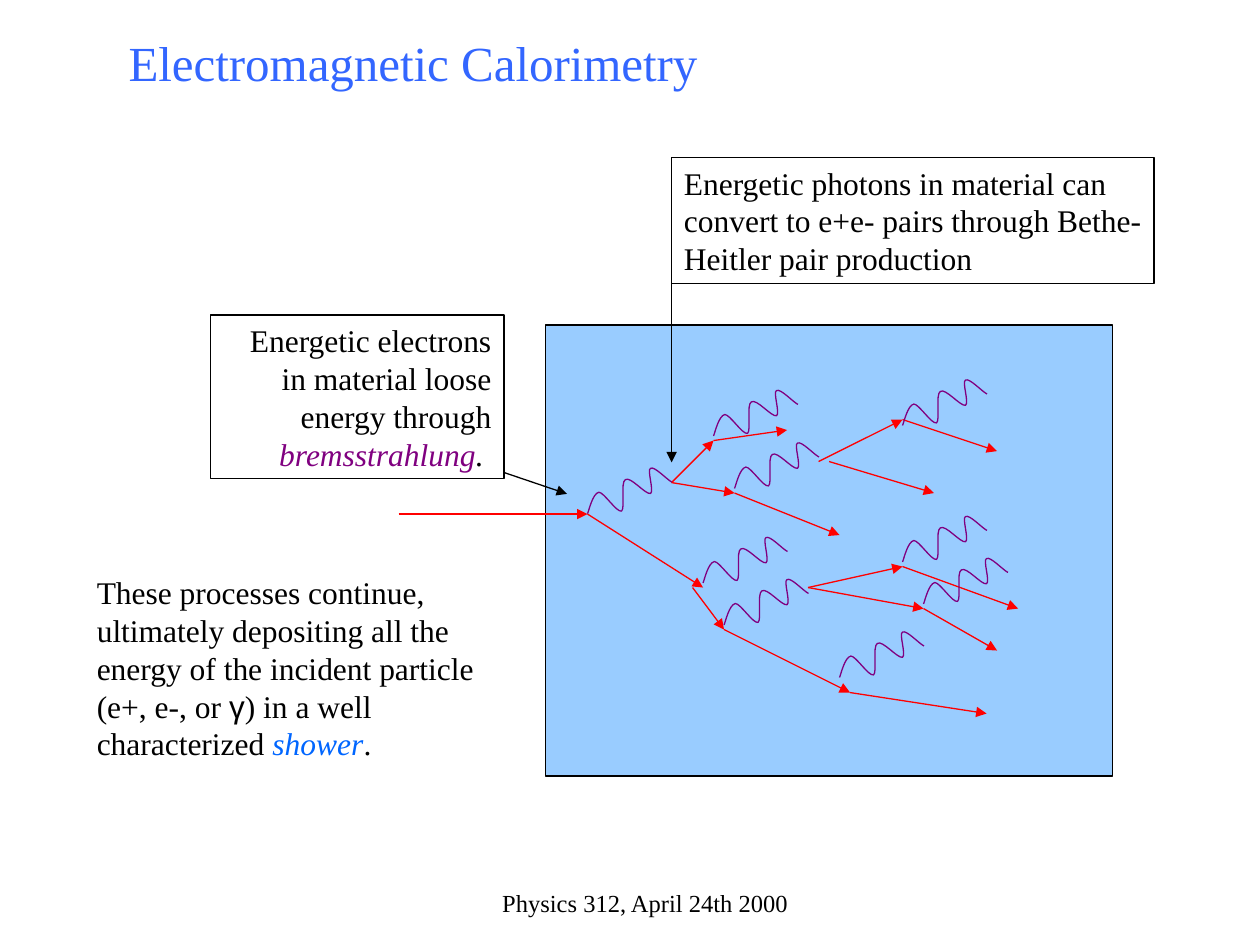
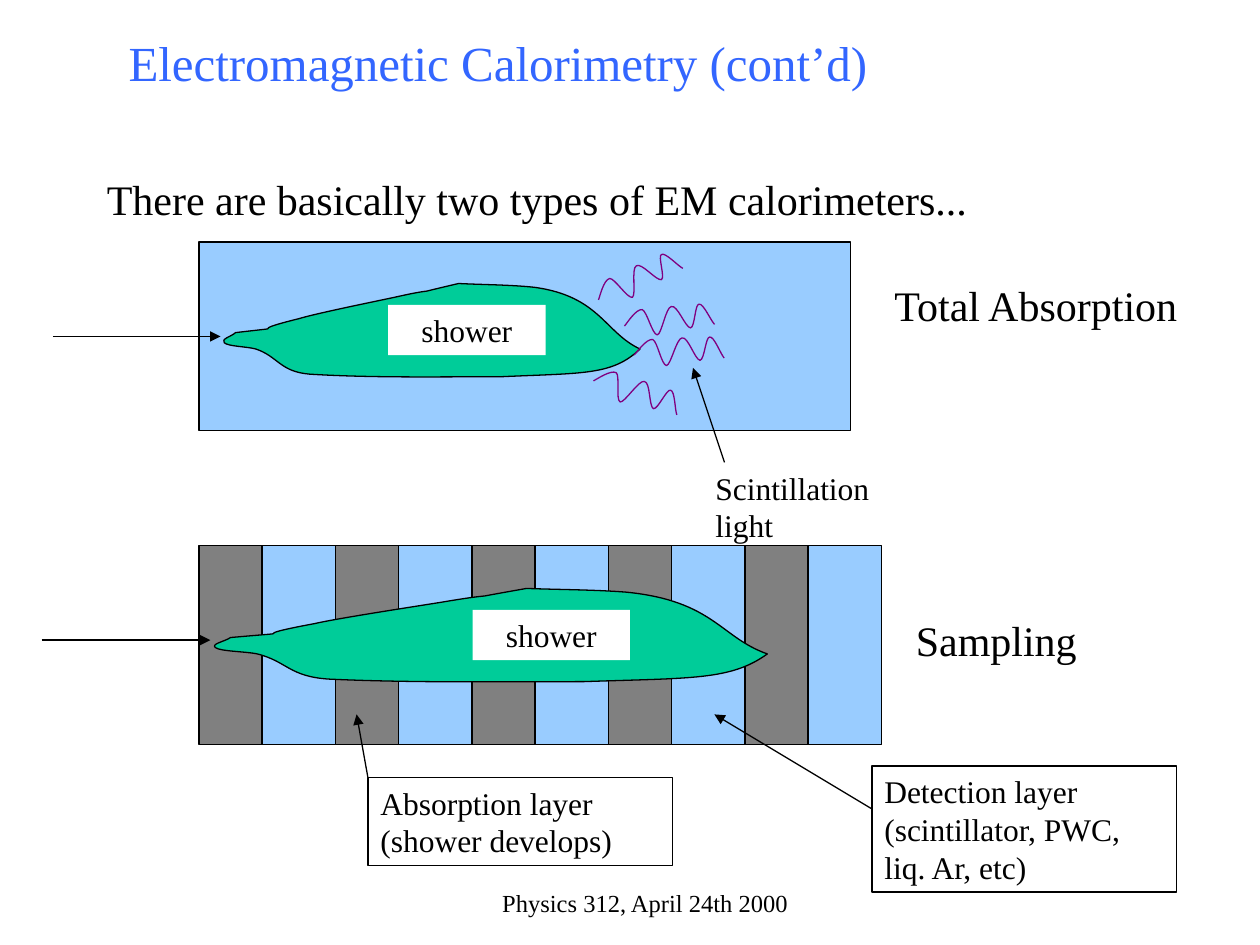
from itertools import cycle, islice

from lxml.etree import SubElement
from pptx import Presentation
from pptx.dml.color import RGBColor
from pptx.enum.shapes import MSO_CONNECTOR as Connector, MSO_SHAPE as Preset
from pptx.enum.text import MSO_ANCHOR as Anchor, MSO_AUTO_SIZE as AutoSize, PP_ALIGN as Align
from pptx.oxml.ns import qn
from pptx.util import Inches, Pt

COLOURS = {
    "title": "3366FF", "text": "000000", "outline": "000000", "paper": "FFFFFF",
    "detector": "99CCFF", "absorber": "808080", "shower": "00CC99",
    "electron": "FF0000", "photon": "800080", "keyword": "0066FF",
}
FONT = "Times New Roman"
LINE_WIDTH = Pt(0.75)
TWELFTH = 1 / 12

WAVE = [
    (0, .38), (.01, .36), (.04, .22), (.09, .21), (.13, .21), (.23, .37), (.27, .36),
    (.3, .34), (.26, .13), (.3, .11), (.34, .08), (.46, .23), (.5, .22),
    (.53, .2), (.47, .03), (.5, .02), (.53, 0), (.63, .11), (.67, .13),
]
SHOWER_WIDTH = 3.33
SHOWER = [
    (.12, .39), (.63, .33), (.13, .4), (.62, .28), (.75, .24), (1.19, .15), (1.38, .11),
    (1.47, .09), (1.56, .07), (1.64, .06), (1.72, .04), (1.89, 0), (1.89, 0),
    (2.09, .01), (2.3, .01), (2.49, .03), (3.01, .1), (3.05, .39), (3.33, .52),
    (3.11, .73), (2.88, .71), (2.23, .74), (1.72, .74), (1.21, .75), (.71, .72),
    (.47, .7), (.46, .58), (.28, .52), (.21, .5), (.06, .5), (.03, .47),
    (0, .44), (.09, .42), (.12, .39),
]
ELECTRON_TRACKS = [
    (-14, 18, 4, 18), (4, 18, 15, 25), (12, 15, 16, 11), (12, 15, 18, 16),
    (18, 16, 28, 20), (14, 25, 17, 29), (17, 29, 29, 35), (29, 35, 42, 37),
    (26, 13, 34, 9), (27, 13, 37, 16), (16, 11, 23, 10), (25, 25, 34, 23),
    (25, 25, 36, 27), (34, 9, 43, 12), (36, 27, 43, 31), (34, 23, 45, 27),
]
PHOTON_WAVES = [
    (4, 13.4), (18, 11), (17, 24), (28, 29), (15, 20),
    (34, 5), (34, 18), (36, 22), (16, 6),
]


def colour(name):
    """Return the named colour."""
    return RGBColor.from_string(COLOURS[name])


def set_format(target, values):
    """Set each attribute of the target from a dict."""
    for name, value in values.items():
        setattr(target, name, value)


def paint(shape, fill=None, line=None):
    """Give a shape its fill and outline, without a shadow."""
    shape.shadow.inherit = False
    if fill:
        shape.fill.solid()
        shape.fill.fore_color.rgb = colour(fill)
    else:
        shape.fill.background()
    if line:
        shape.line.color.rgb = colour(line)
        shape.line.width = LINE_WIDTH
    else:
        shape.line.fill.background()


def write(shape, runs, size=18, align=Align.LEFT, anchor=Anchor.TOP, left_inset=0.1):
    """Write one paragraph of (text, format) runs into a shape."""
    frame = shape.text_frame
    set_format(frame, {
        "word_wrap": True, "auto_size": AutoSize.NONE, "vertical_anchor": anchor,
        "margin_left": Inches(left_inset), "margin_right": Inches(0.1),
        "margin_top": Inches(0.05), "margin_bottom": Inches(0.05),
    })
    paragraph = frame.paragraphs[0]
    paragraph.alignment = align
    for text, changes in runs:
        run = paragraph.add_run()
        run.text = text
        values = {"name": FONT, "size": Pt(size), **changes}
        run.font.color.rgb = colour(values.pop("colour", "text"))
        set_format(run.font, values)


def add_box(slide, box, fill=None, line="outline"):
    """Add a rectangle in the given box."""
    shape = slide.shapes.add_shape(Preset.RECTANGLE, *map(Inches, box))
    paint(shape, fill, line)
    return shape


def add_label(slide, box, text, **options):
    """Add plain text in the given box."""
    write(slide.shapes.add_textbox(*map(Inches, box)), [(text, {})], **options)


def add_arrow(slide, ends, line="outline"):
    """Add a straight arrow from the first point to the second."""
    arrow = slide.shapes.add_connector(Connector.STRAIGHT, *map(Inches, ends))
    arrow.line.color.rgb = colour(line)
    arrow.line.width = LINE_WIDTH
    properties = arrow._element.spPr
    SubElement(properties.find(qn("a:ln")), qn("a:tailEnd"), type="triangle")
    SubElement(properties, qn("a:effectLst"))


def add_curve(slide, left, top, points, stretch=1, close=False):
    """Add a freeform of cubic curves, with its corner at left, top."""
    places = [(Inches(left + x * stretch), Inches(top + y)) for x, y in points]
    builder = slide.shapes.build_freeform(*places[0])
    builder.add_line_segments(places[1:], close=close)
    shape = builder.convert_to_shape()
    segments = list(shape._element.iter(qn("a:lnTo")))
    for first, second, third in zip(*[iter(segments)] * 3):
        outline = first.getparent()
        curve = SubElement(outline, qn("a:cubicBezTo"))
        first.addprevious(curve)
        for segment in (first, second, third):
            curve.append(segment[0])
            outline.remove(segment)
    return shape


def add_photon(slide, left, top, rotation=0):
    """Add a wavy photon line."""
    wave = add_curve(slide, left, top, WAVE)
    paint(wave, line="photon")
    wave.rotation = rotation


def add_shower(slide, left, top, width, label_left):
    """Add a labelled particle shower of the given width."""
    shower = add_curve(slide, left, top, SHOWER, width / SHOWER_WIDTH, close=True)
    paint(shower, "shower", "outline")
    label = add_box(slide, (label_left, top + 0.17, 1.25, 0.4), "paper", None)
    write(label, [("shower", {})], align=Align.CENTER)


def add_slide(presentation, title):
    """Add a slide with the shared title."""
    slide = presentation.slides.add_slide(presentation.slide_layouts[5])
    placeholder = slide.shapes.title
    set_format(placeholder, {
        "left": Inches(0.92), "top": Inches(0.16),
        "width": Inches(8.92), "height": Inches(0.67),
    })
    write(placeholder, [(title, {"colour": "title"})], size=28, anchor=Anchor.MIDDLE)
    return slide


def add_footer(slide):
    """Add the shared footer."""
    add_label(slide, (3.42, 7, 3.17, 0.33), "Physics 312, April 24th 2000",
              size=14, align=Align.CENTER, left_inset=0.33)


def add_cascade(slide, box):
    """Draw the detector block with its electron tracks and photons."""
    left, top = box[:2]
    add_box(slide, box, "detector")
    for x1, y1, x2, y2 in ELECTRON_TRACKS:
        add_arrow(slide, (left + x1 * TWELFTH, top + y1 * TWELFTH,
                          left + x2 * TWELFTH, top + y2 * TWELFTH), "electron")
    for x, y in PHOTON_WAVES:
        add_photon(slide, left + x * TWELFTH, top + y * TWELFTH)


def add_total_absorption(slide, box):
    """Draw the solid calorimeter with its shower and scintillation light."""
    left, top, width, height = box
    add_box(slide, box, "detector")
    add_shower(slide, left + 0.17, top + 0.33, SHOWER_WIDTH, left + 1.5)
    for x, y, rotation in ((3.17, 0.08, 0), (3.42, 0.41, 19.4),
                           (3.5, 0.66, 22.4), (3.17, 1, 42.7)):
        add_photon(slide, left + x, top + y, rotation)
    add_arrow(slide, (left - 1.16, top + 0.75, left + 0.17, top + 0.75))
    add_label(slide, (left + 4, top + 1.75, 1.5, 0.7), "Scintillation light")
    add_arrow(slide, (left + 4.17, top + 1.75, left + 3.92, top + 1))
    add_label(slide, (left + width + 0.25, top + 0.25, 2.58, 0.5), "Total Absorption", size=24)


def add_sampling(slide, box):
    """Draw the layered calorimeter with its shower and callouts."""
    left, top, width, height = box
    layer_left = left
    for fill, twelfths in islice(cycle((("absorber", 6), ("detector", 7))), 10):
        layer_width = twelfths * TWELFTH
        add_box(slide, (layer_left, top, layer_width, height), fill)
        layer_left += layer_width
    add_shower(slide, left + 0.09, top + 0.34, 4.42, left + 2.17)
    add_arrow(slide, (left - 1.25, top + 0.75, left + 0.09, top + 0.75))
    callouts = (
        ((1.34, 1.84, 2.42, 0.7), "Absorption layer (shower develops)",
         (1.34, 1.84, 1.25, 1.34)),
        ((5.34, 1.75, 2.42, 1), "Detection layer (scintillator, PWC, liq. Ar, etc)",
         (5.34, 2.09, 4.09, 1.34)),
    )
    for (x, y, *size), text, (x1, y1, x2, y2) in callouts:
        write(add_box(slide, (left + x, top + y, *size)), [(text, {})])
        add_arrow(slide, (left + x1, top + y1, left + x2, top + y2))
    add_label(slide, (left + width + 0.17, top + 0.5, 2.58, 0.5), "Sampling", size=24)


def build_shower_slide(presentation):
    """Build the slide on how a shower develops."""
    slide = add_slide(presentation, "Electromagnetic Calorimetry")
    add_cascade(slide, (4.33, 2.58, 4.5, 3.58))
    write(add_box(slide, (1.67, 2.5, 2.33, 1.3)), [
        ("Energetic electrons in material loose energy through ", {}),
        ("bremsstrahlung", {"colour": "photon", "italic": True}),
        (". ", {"italic": True}),
    ], align=Align.RIGHT)
    write(add_box(slide, (5.33, 1.25, 3.83, 1)), [
        ("Energetic photons in material can convert to e+e- pairs through "
         "Bethe-Heitler pair production", {}),
    ])
    add_arrow(slide, (4, 3.75, 4.5, 3.92))
    add_arrow(slide, (5.33, 2.17, 5.33, 3.67))
    summary = slide.shapes.add_textbox(*map(Inches, (0.67, 4.5, 3.33, 1.6)))
    write(summary, [
        ("These processes continue, ultimately depositing all the energy of the "
         "incident particle (e+, e-, or ", {}),
        ("γ", {"name": "Arial"}),
        (") in a well characterized ", {}),
        ("shower", {"colour": "keyword", "italic": True}),
        (".", {}),
    ])
    add_footer(slide)


def build_types_slide(presentation):
    """Build the slide on the two types of calorimeter."""
    slide = add_slide(presentation, "Electromagnetic Calorimetry (cont’d)")
    add_label(slide, (0.75, 1.33, 8, 0.5),
              "There are basically two types of EM calorimeters...", size=24)
    add_total_absorption(slide, (1.58, 1.92, 5.17, 1.5))
    add_sampling(slide, (1.58, 4.33, 5.42, 1.58))
    add_footer(slide)


def main():
    """Build and save the presentation."""
    presentation = Presentation()
    set_format(presentation, {"slide_width": Inches(10), "slide_height": Inches(7.5)})
    build_shower_slide(presentation)
    build_types_slide(presentation)
    presentation.save("out.pptx")


if __name__ == "__main__":
    main()
